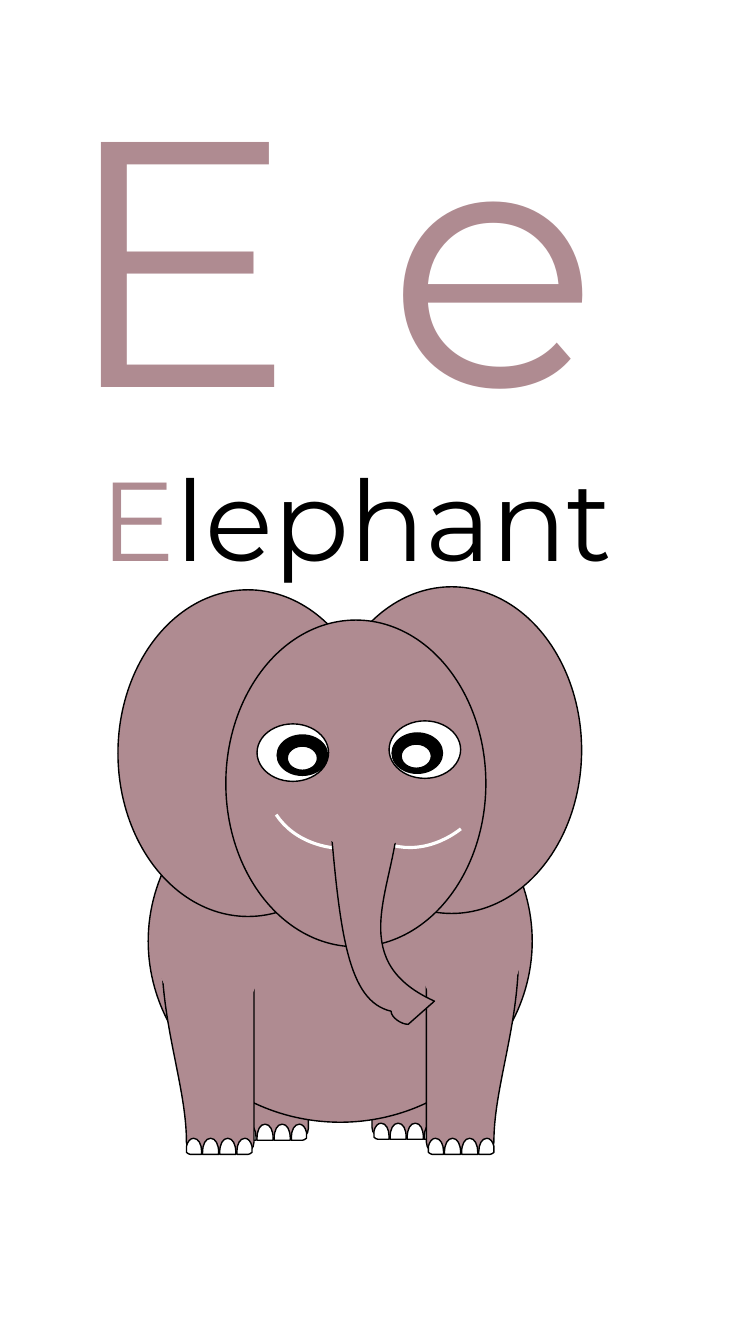
from dataclasses import dataclass

from lxml import etree
from pptx import Presentation
from pptx.dml.color import RGBColor
from pptx.enum import shapes, text
from pptx.oxml.ns import qn
from pptx.util import Inches, Pt


@dataclass(frozen=True)
class Theme:
    skin: str = "AF8B91"
    black: str = "000000"
    white: str = "FFFFFF"
    font: str = "Montserrat"
    letter_size: int = 250
    word_size: int = 80
    outline: float = 1
    smile: float = 2.25


THEME = Theme()
CURVE_STEPS = 16

LEG = [
    (0, 0.46), (0, 0.4, 0.05, 0.35, 0.11, 0.35),
    (0.56, 0.35), (0.62, 0.35, 0.82, -0.06, 0.82, 0.01),
    (1.1, 1.08, 0.67, 1.9, 0.67, 2.62), (0.67, 2.68, 0.62, 2.73, 0.56, 2.73),
    (0.11, 2.73), (0.05, 2.73, 0, 2.68, 0, 2.62),
]
MIDDLE_TOE = [
    (0.08, 0), (0.13, 0, 0.16, 0.06, 0.16, 0.14), (0.16, 0.16),
    (0, 0.16), (0, 0.14), (0, 0.06, 0.03, 0, 0.08, 0),
]
OUTER_TOE = [
    (0.08, 0), (0.11, 0, 0.14, 0.03, 0.15, 0.08), (0.15, 0.14),
    (0.14, 0.15, 0.12, 0.16, 0.11, 0.16), (0, 0.16),
    (0, 0.13), (0, 0.06, 0.03, 0, 0.08, 0),
]
TRUNK = [
    (3.95, 8.05), (3.95, 7.98, 3.9, 7.93, 3.84, 7.93),
    (3.38, 7.93), (3.32, 7.93, 3.27, 7.98, 3.27, 8.05),
    (3.37, 9.26, 3.45, 9.93, 3.88, 10.03), (3.88, 10.09, 3.98, 10.16, 4.05, 10.16),
    (4.31, 9.93), (3.38, 9.51, 3.95, 8.76, 3.95, 8.05),
]


def color(value):
    return RGBColor.from_string(value)


def paint(shape, fill, line, width=THEME.outline):
    shape.shadow.inherit = False
    if fill:
        shape.fill.solid()
        shape.fill.fore_color.rgb = color(fill)
    else:
        shape.fill.background()
    if line:
        shape.line.color.rgb = color(line)
        shape.line.width = Pt(width)
    else:
        shape.line.fill.background()


def add_text(parent, runs, left, top, width, height, size):
    box = parent.shapes.add_textbox(Inches(left), Inches(top), Inches(width), Inches(height))
    frame = box.text_frame
    frame.word_wrap = True
    frame.auto_size = text.MSO_AUTO_SIZE.SHAPE_TO_FIT_TEXT
    for content, run_color in runs:
        run = frame.paragraphs[0].add_run()
        run.text = content
        run.font.name = THEME.font
        run.font.size = Pt(size)
        run.font.color.rgb = color(run_color)


def add_ellipse(parent, left, top, width, height, fill=THEME.skin, line=THEME.black, rotation=0):
    shape = parent.shapes.add_shape(
        shapes.MSO_SHAPE.OVAL, Inches(left), Inches(top), Inches(width), Inches(height))
    shape.rotation = rotation
    paint(shape, fill, line)


def curve_points(controls):
    for step in range(1, CURVE_STEPS + 1):
        t = step / CURVE_STEPS
        weights = ((1 - t) ** 3, 3 * t * (1 - t) ** 2, 3 * t * t * (1 - t), t ** 3)
        yield tuple(sum(weight * point[axis] for weight, point in zip(weights, controls))
                    for axis in (0, 1))


def find_corners(segments):
    points = []
    for segment in segments:
        points.extend(segment if len(segment) == 1 else curve_points([points[-1], *segment]))
    return [tuple(round(pick(values)) for values in zip(*points)) for pick in (min, max)]


def add_outline(parent, outline, left=0, top=0, side=1, fill=THEME.skin):
    segments = [[(Inches(left + side * x), Inches(top + y))
                 for x, y in zip(segment[::2], segment[1::2])] for segment in outline]
    origin, corner = find_corners(segments)
    builder = parent.shapes.build_freeform(*origin)
    builder.add_line_segments([corner], close=True)
    shape = builder.convert_to_shape()
    geometry = shape._element.xpath(".//a:path")[0]
    for child in list(geometry):
        geometry.remove(child)
    for index, segment in enumerate(segments):
        tag = "a:moveTo" if index == 0 else "a:lnTo" if len(segment) == 1 else "a:cubicBezTo"
        command = etree.SubElement(geometry, qn(tag))
        for x, y in segment:
            etree.SubElement(command, qn("a:pt"), x=str(x - origin[0]), y=str(y - origin[1]))
    etree.SubElement(geometry, qn("a:close"))
    paint(shape, fill, THEME.black)


def add_toes(parent, inner, top, side):
    toe_top = top + 2.58
    add_outline(parent, OUTER_TOE, inner + side * 0.17, toe_top, -side, THEME.white)
    for offset in (0.18, 0.35):
        add_outline(parent, MIDDLE_TOE, inner + side * offset, toe_top, side, THEME.white)
    add_outline(parent, OUTER_TOE, inner + side * 0.52, toe_top, side, THEME.white)


def add_eye(parent, left, top, pupil, glint):
    add_ellipse(parent, left, top, 0.71, 0.57, THEME.white)
    add_ellipse(parent, *pupil, 0.5, 0.4, THEME.black)
    add_ellipse(parent, *glint, 0.3, 0.24, THEME.white)


def add_smile(parent, left, top, rotation):
    shape = parent.shapes.add_shape(
        shapes.MSO_SHAPE.ARC, Inches(left), Inches(top), Inches(1.78), Inches(2.33))
    shape.adjustments[0] = 162
    shape.adjustments[1] = 183.72
    shape.rotation = rotation
    shape._element.spPr.xfrm.set("flipH", "1")
    paint(shape, None, THEME.white, THEME.smile)


def add_elephant(parent):
    for inner, top, side in ((3.06, 8.57, -1), (3.69, 8.56, 1)):
        add_outline(parent, LEG, inner, top, side)
        add_toes(parent, inner, top, side)
    add_ellipse(parent, 1.47, 7.54, 3.81, 3.59)

    front_legs = ((2.52, 8.71, -1, (1.52, 8.59), 351.3), (4.23, 8.71, 1, (4.13, 8.55), 3.6))
    for inner, top, side, shoulder, rotation in front_legs:
        add_outline(parent, LEG, inner, top, side)
        add_ellipse(parent, *shoulder, 1.07, 1.54, line=None, rotation=rotation)
        add_toes(parent, inner, top, side)

    right_ear, left_ear, head = (3.19, 5.82), (1.17, 5.85), (2.24, 6.15)
    for left, top in (right_ear, left_ear, head):
        add_ellipse(parent, left, top, 2.58, 3.24)

    add_eye(parent, 2.55, 7.18, pupil=(2.75, 7.29), glint=(2.85, 7.4))
    add_eye(parent, 3.86, 7.15, pupil=(3.89, 7.27), glint=(3.98, 7.38))
    add_smile(parent, 2.82, 6.27, 236.4)
    add_smile(parent, 3.29, 6.09, 194.1)
    add_outline(parent, TRUNK)
    add_ellipse(parent, 3.15, 7.77, 0.94, 0.66, line=THEME.skin)


def main():
    presentation = Presentation()
    presentation.slide_width = Inches(7.5)
    presentation.slide_height = Inches(13.33)
    slide = presentation.slides.add_slide(presentation.slide_layouts[6])
    add_text(slide, [("E e", THEME.skin)], 0.51, 0.32, 6.47, 4.31, THEME.letter_size)
    card = slide.shapes.add_group_shape()
    add_text(card, [("E", THEME.skin), ("lephant", THEME.black)],
             0.9, 4.41, 5.7, 1.45, THEME.word_size)
    add_elephant(card)
    presentation.save("out.pptx")


if __name__ == "__main__":
    main()
